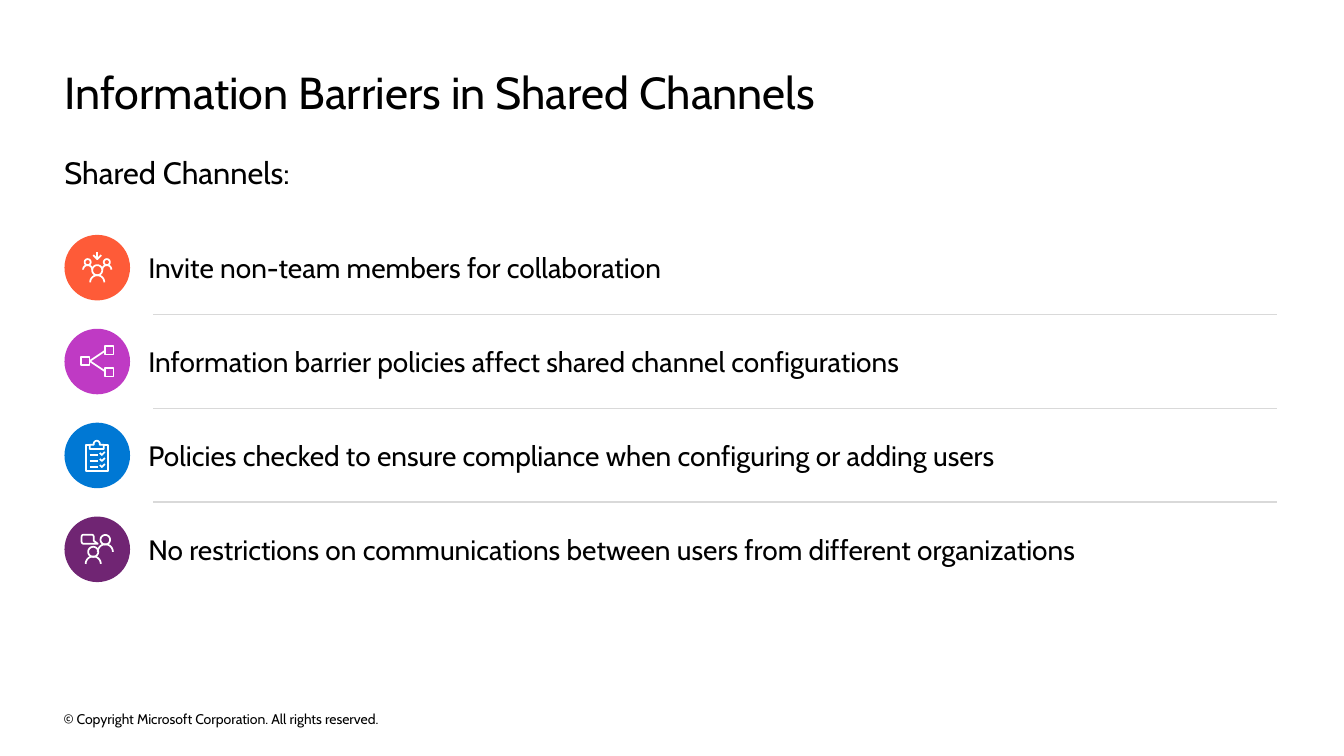
import math
from dataclasses import dataclass

import pptx
import pptx.dml.color
import pptx.enum.shapes
import pptx.enum.text
import pptx.oxml
import pptx.oxml.ns
import pptx.util


@dataclass(frozen=True)
class Theme:
    font: str = "Cabin"
    ink: str = "000000"
    icon: str = "FFFFFF"
    divider: str = "D9D9D9"
    invite: str = "FE5B38"
    sharing: str = "BF3AC4"
    checking: str = "0078D4"
    talking: str = "702573"
    title_size: float = 32
    subtitle_size: float = 22
    item_size: float = 20
    footer_size: float = 10
    icon_width: float = 1.25
    divider_width: float = 1


def arc(x, y, radius, start=0, end=360, steps=24):
    angles = [math.radians(start + (end - start) * step / steps) for step in range(steps + 1)]
    return [(x + radius * math.cos(angle), y + radius * math.sin(angle)) for angle in angles]


def person(x, y, head, body, drop=12):
    return [arc(x, y, head), arc(x, y + drop, body, 180, 360)]


def box(left, top, side=8.5):
    right, bottom = left + side, top + side
    return [(left, top), (right, top), (right, bottom), (left, bottom), (left, top)]


def invite_icon():
    arrow = [[(0, -15.5), (0, -8.5)], [(-4, -12.5), (0, -8.5), (4, -12.5)]]
    sides = [stroke for x in (-9.5, 9.5) for stroke in person(x, -5.5, 3, 4.5, 7.5)]
    return person(0, 2.5, 5, 7) + sides + arrow


def sharing_icon():
    branches = [[(-7.5, -0.5), (7.5, y)] for y in (-10.5, 9.5)]
    return [box(7.5, -15.5), box(7.5, 6.25), box(-16.25, -4.75)] + branches


def checking_icon():
    clip = arc(-0.5, -11.5, 3, 180, 360) + [
        (2.5, -10.5), (6.5, -10.5), (6.5, -6.5), (-7.5, -6.5),
        (-7.5, -10.5), (-3.5, -10.5), (-3.5, -11.5)]
    board = [(-7.5, -10.5), (-11.5, -10.5), (-11.5, 15.5),
             (10.5, 15.5), (10.5, -10.5), (6.5, -10.5)]
    strokes = [clip, board]
    for y in (-0.5, 5.5, 11.5):
        strokes += [[(-7.5, y), (0.5, y)], [(2.5, y - 2), (4.5, y), (7.5, y - 3)]]
    return strokes


def talking_icon():
    bubble = [(0.5, -5.5), (-3.5, -8.5)]
    bubble += arc(-5.5, -12.5, 2, 360, 270, 6)
    bubble += arc(-13.5, -12.5, 2, 270, 180, 6)
    bubble += arc(-13.5, -7.5, 2, 180, 90, 6) + [(0.5, -5.5)]
    return person(-4, 2.5, 5, 7.5) + person(8, -9.5, 4.75, 7.5) + [bubble]


class SlideBuilder:
    def __init__(self, presentation, theme):
        self.theme = theme
        self.slide = presentation.slides.add_slide(presentation.slide_layouts[6])
        self.column = presentation.slide_width / 100
        self.row = presentation.slide_height / 100

    def across(self, columns):
        return pptx.util.Emu(round(columns * self.column))

    def down(self, rows):
        return pptx.util.Emu(round(rows * self.row))

    def color(self, value):
        return pptx.dml.color.RGBColor.from_string(value)

    def text(self, left, top, width, height, wording, size, middle=False):
        shape = self.slide.shapes.add_textbox(
            self.across(left), self.down(top), self.across(width), self.down(height))
        frame = shape.text_frame
        frame.word_wrap = True
        frame.margin_left = frame.margin_right = frame.margin_top = frame.margin_bottom = 0
        anchors = pptx.enum.text.MSO_ANCHOR
        frame.vertical_anchor = anchors.MIDDLE if middle else anchors.TOP
        run = frame.paragraphs[0].add_run()
        run.text = wording
        run.font.name = self.theme.font
        run.font.size = pptx.util.Pt(size)
        run.font.color.rgb = self.color(self.theme.ink)

    def badge(self, left, top, width, fill, strokes):
        diameter = self.across(width)
        shape = self.slide.shapes.add_shape(
            pptx.enum.shapes.MSO_SHAPE.OVAL, self.across(left), self.down(top), diameter, diameter)
        shape.shadow.inherit = False
        shape.fill.solid()
        shape.fill.fore_color.rgb = self.color(fill)
        shape.line.fill.background()
        self.icon(shape.left + diameter / 2, shape.top + diameter / 2, diameter / 65, strokes)

    def icon(self, center_x, center_y, unit, strokes):
        placed = [[(center_x + x * unit, center_y + y * unit) for x, y in stroke]
                  for stroke in strokes]
        builder = self.slide.shapes.build_freeform(*placed[0][0])
        builder.add_line_segments(placed[0][1:], close=False)
        for stroke in placed[1:]:
            builder.move_to(*stroke[0])
            builder.add_line_segments(stroke[1:], close=False)
        shape = builder.convert_to_shape()
        shape.shadow.inherit = False
        shape.fill.background()
        shape.line.color.rgb = self.color(self.theme.icon)
        shape.line.width = pptx.util.Pt(self.theme.icon_width)

    def divider(self, left, right, top):
        y = self.down(top)
        connector = self.slide.shapes.add_connector(
            pptx.enum.shapes.MSO_CONNECTOR.STRAIGHT, self.across(left), y, self.across(right), y)
        connector.line.color.rgb = self.color(self.theme.divider)
        connector.line.width = pptx.util.Pt(self.theme.divider_width)
        properties = connector.element.spPr
        properties.append(pptx.oxml.parse_xml(
            f"<a:effectLst {pptx.oxml.ns.nsdecls('a')}/>"))


def main():
    presentation = pptx.Presentation()
    presentation.slide_width = pptx.util.Inches(13.33)
    presentation.slide_height = pptx.util.Inches(7.5)
    theme = Theme()
    builder = SlideBuilder(presentation, theme)

    builder.text(4.73, 93.6, 34.06, 2.93, "© Copyright Microsoft Corporation. All rights reserved.",
                 theme.footer_size, middle=True)
    builder.text(4.8, 8.53, 90.3, 7.2, "Information Barriers in Shared Channels", theme.title_size)
    builder.text(4.8, 20.27, 90.3, 4.93, "Shared Channels:", theme.subtitle_size)

    items = [
        ("Invite non-team members for collaboration", theme.invite, invite_icon()),
        ("Information barrier policies affect shared channel configurations",
         theme.sharing, sharing_icon()),
        ("Policies checked to ensure compliance when configuring or adding users",
         theme.checking, checking_icon()),
        ("No restrictions on communications between users from different organizations",
         theme.talking, talking_icon()),
    ]
    first_top, pitch = 31.07, 12.42
    for index, (wording, fill, strokes) in enumerate(items):
        top = first_top + index * pitch
        builder.badge(4.8, top, 4.88, fill, strokes)
        builder.text(11.03, top + 2, 84.1, 4.53, wording, theme.item_size, middle=True)
        if index:
            builder.divider(11.4, 95.05, top - 1.9)

    presentation.save("out.pptx")


if __name__ == "__main__":
    main()
